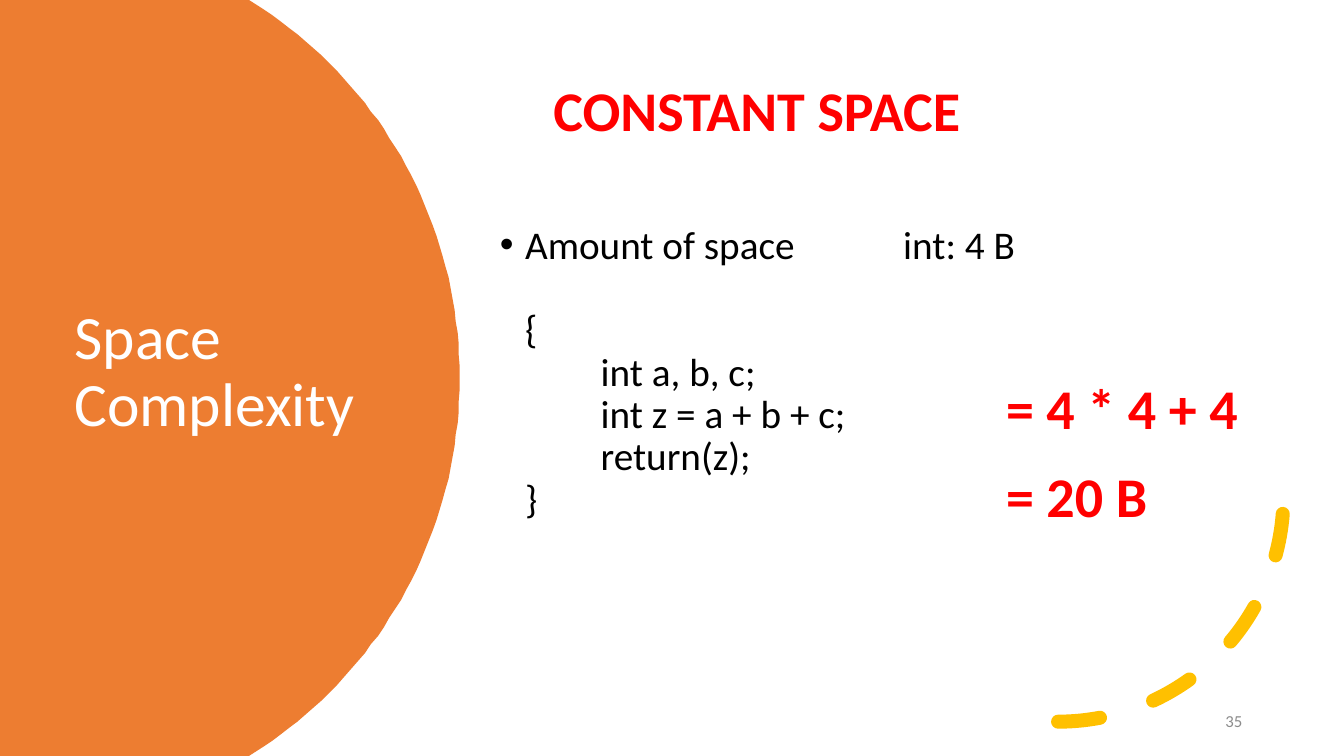
from lxml.etree import SubElement
from pptx import Presentation
from pptx.dml.color import RGBColor
from pptx.enum.dml import MSO_LINE
from pptx.enum.shapes import MSO_SHAPE
from pptx.enum.text import MSO_ANCHOR, PP_ALIGN
from pptx.oxml.ns import qn
from pptx.util import Pt

PX = 9144
COLORS = {
    "orange": "ED7D31",
    "gold": "FFC000",
    "red": "FF0000",
    "white": "FFFFFF",
    "black": "000000",
    "gray": "8C8C8C",
}


def color(name):
    return RGBColor.from_string(COLORS[name])


def add_text(place, lines, size, color_name, bold=False, anchor=MSO_ANCHOR.MIDDLE):
    box = page.shapes.add_textbox(*[length * PX for length in place])
    frame = box.text_frame
    frame.word_wrap = True
    frame.vertical_anchor = anchor
    para = frame.paragraphs[0]
    for index, line in enumerate(lines):
        if index:
            para.add_line_break()
        if line:
            span = para.add_run()
            span.text = line
            span.font.name = "Calibri"
            span.font.size = Pt(size)
            span.font.bold = bold
            span.font.color.rgb = color(color_name)
    return para


deck = Presentation()
deck.slide_width = 1333 * PX
deck.slide_height = 750 * PX
page = deck.slides.add_slide(deck.slide_layouts[6])
page.background.fill.solid()
page.background.fill.fore_color.rgb = color("white")

upper_curve = [(261, 9), (379, 88), (456, 223), (456, 375)]
steps = 40
upper_edge = []
for step in range(steps + 1):
    t = step / steps
    weights = [(1 - t) ** 3, 3 * t * (1 - t) ** 2, 3 * t**2 * (1 - t), t**3]
    upper_edge.append(
        tuple(sum(w * point[axis] for w, point in zip(weights, upper_curve)) for axis in (0, 1))
    )
lower_edge = [(x, 750 - y) for x, y in reversed(upper_edge[:-1])]
builder = page.shapes.build_freeform(0, 0, scale=PX)
builder.add_line_segments([(247, 0), *upper_edge, *lower_edge, (247, 750), (0, 750)], close=True)
panel = builder.convert_to_shape()
panel.shadow.inherit = False
panel.fill.solid()
panel.fill.fore_color.rgb = color("orange")
panel.line.fill.background()

title = add_text((64, 126, 411, 488), ["Space Complexity"], 44, "white")
title.line_spacing = 0.9

arc = page.shapes.add_shape(MSO_SHAPE.ARC, 826 * PX, 269 * PX, 447 * PX, 447 * PX)
arc.shadow.inherit = False
arc.fill.background()
arc.line.color.rgb = color("gold")
arc.line.width = Pt(10)
arc.line.dash_style = MSO_LINE.DASH
properties = arc.element.spPr
properties.find(qn("a:xfrm")).set("flipV", "1")
properties.find(qn("a:ln")).set("cap", "rnd")

code_lines = [
    "Amount of space\t\tint: 4 B",
    "",
    "{",
    "\tint a, b, c;",
    "\tint z = a + b + c;",
    "\treturn(z);",
    "}",
]
body = add_text((486, 65, 755, 611), code_lines, 28, "black")
body.line_spacing = 0.9
settings = body._p.get_or_add_pPr()
settings.set("marL", str(25 * PX))
settings.set("indent", str(-25 * PX))
settings.set("defTabSz", str(100 * PX))
SubElement(settings, qn("a:buFont")).set("typeface", "Arial")
SubElement(settings, qn("a:buChar")).set("char", "•")
body.font.size = Pt(28)
for line_break in body._p.findall(qn("a:br")):
    SubElement(line_break, qn("a:rPr")).set("sz", "2800")

number = add_text((942, 695, 300, 40), ["35"], 12, "gray")
number.alignment = PP_ALIGN.RIGHT

for place, words in [
    ((988, 366, 254, 77), "= 4 * 4 + 4"),
    ((988, 453, 254, 77), "= 20 B"),
    ((539, 70, 433, 77), "CONSTANT SPACE"),
]:
    add_text(place, [words], 40, "red", True, MSO_ANCHOR.TOP)

deck.save("out.pptx")
